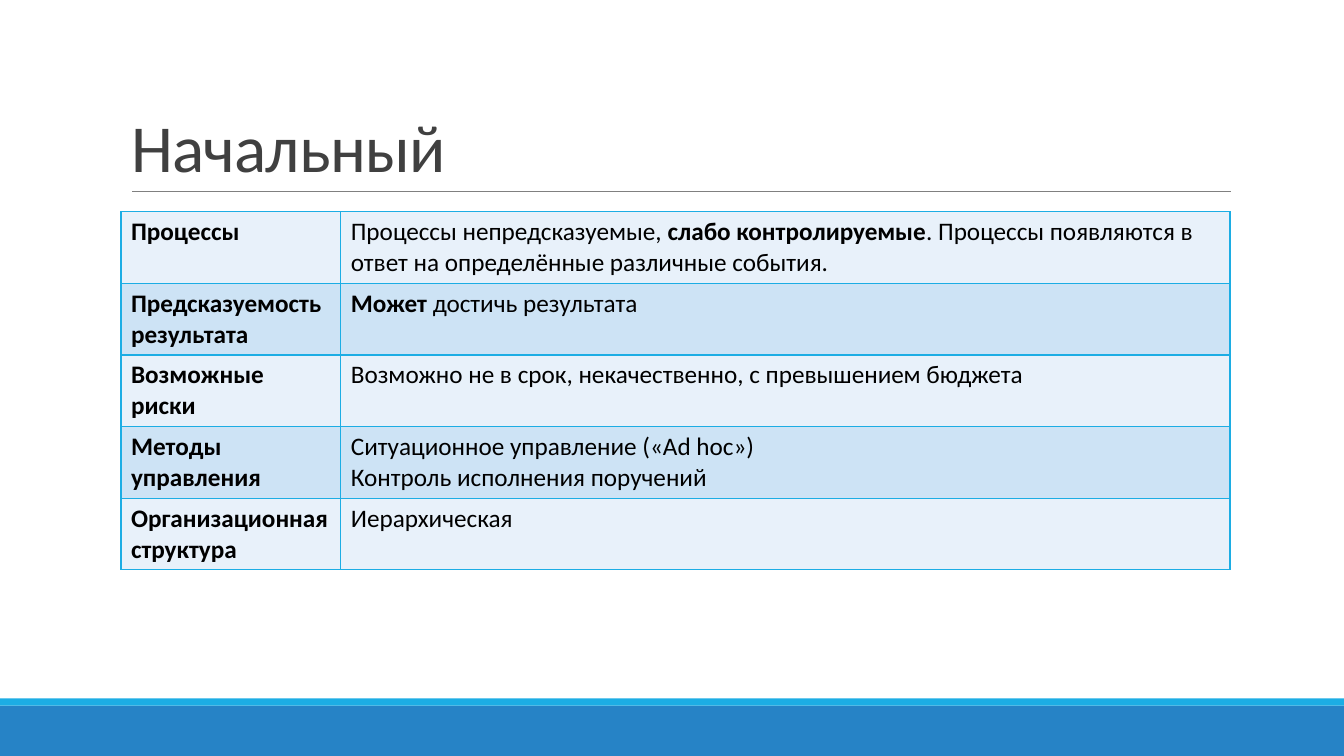
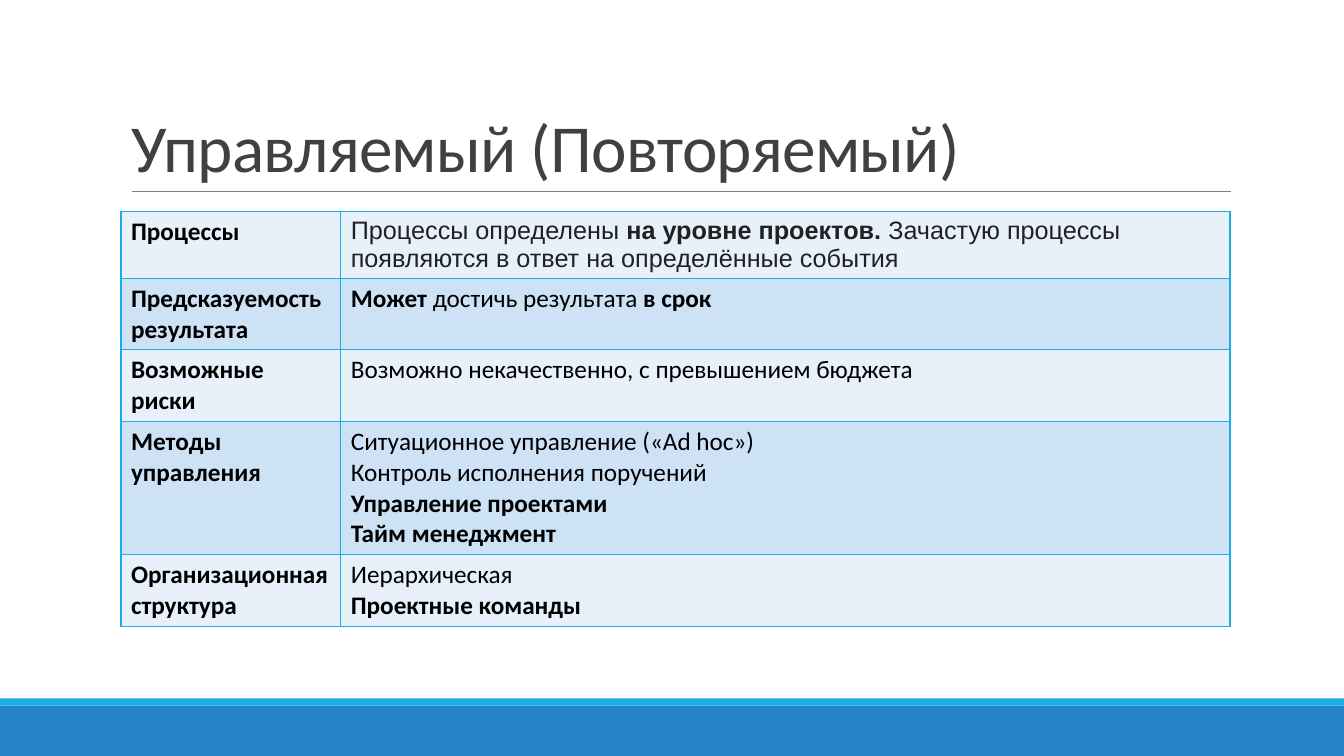
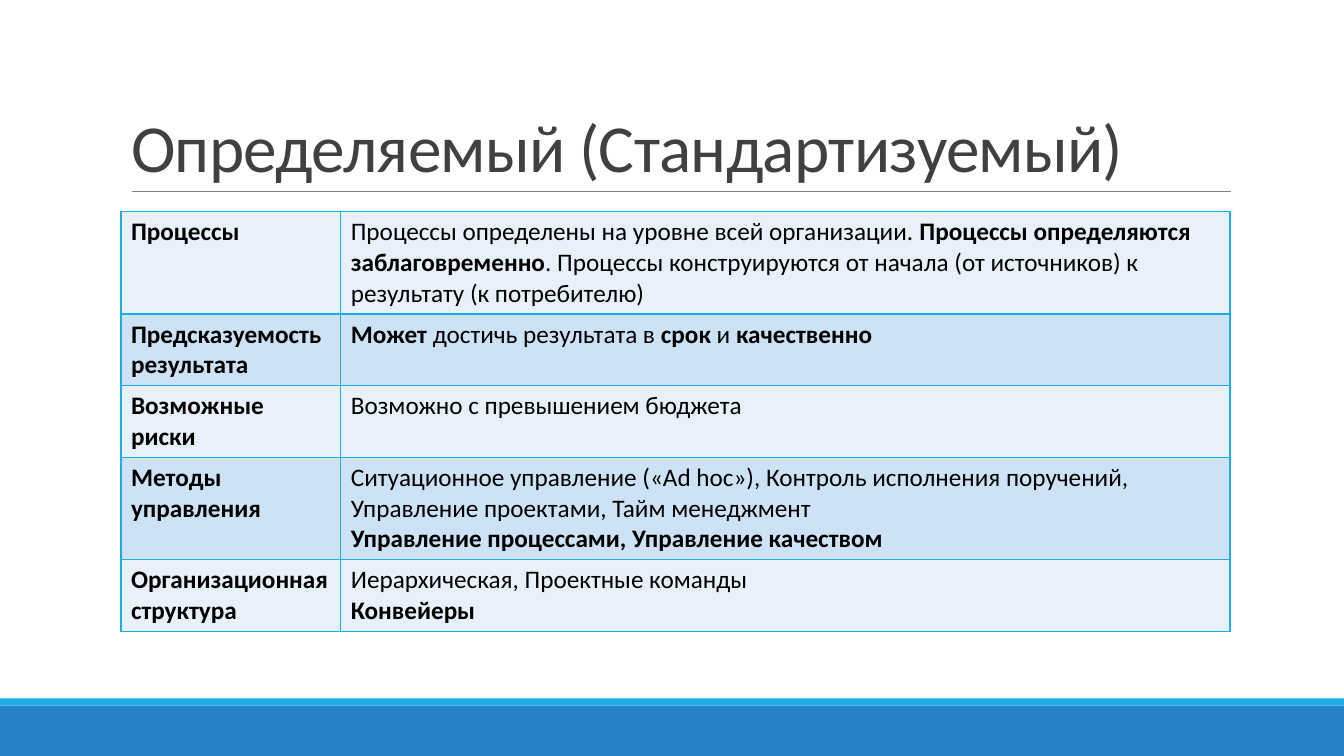
from lxml.etree import SubElement
from pptx import Presentation
from pptx.dml.color import RGBColor
from pptx.enum.shapes import MSO_CONNECTOR, MSO_SHAPE
from pptx.enum.text import MSO_ANCHOR, MSO_AUTO_SIZE, PP_ALIGN
from pptx.oxml import parse_xml
from pptx.oxml.ns import nsdecls, qn
from pptx.util import Inches, Pt

C = {
    "band": "2683C6", "accent": "1CADE4", "rule": "808080", "title": "404040",
    "text": "000000", "wiki": "202122", "light": "E8F1FA", "mid": "CDE3F5",
}
FONT = "Calibri"

ROW_NAMES = ["Процессы", "Предсказуемость результата", "Возможные риски",
             "Методы управления", "Организационная структура"]

# One level per slide: title, font and colour of the first answer, answers.
# Text between ** is bold, each line is a paragraph.
LEVELS = [
    ("Начальный", FONT, "text", [
        "Процессы непредсказуемые, **слабо контролируемые**. "
        "Процессы появляются в ответ на определённые различные события.",
        "**Может **достичь результата",
        "Возможно не в срок, некачественно, с превышением бюджета",
        "Ситуационное управление («Ad hoc»)\nКонтроль исполнения поручений",
        "Иерархическая",
    ]),
    ("Управляемый (Повторяемый)", "Arial", "wiki", [
        "Процессы определены **на уровне проектов. **"
        "Зачастую процессы появляются в ответ на определённые события",
        "**Может** достичь результата **в срок**",
        "Возможно некачественно, с превышением бюджета",
        "Ситуационное управление («Ad hoc»)\nКонтроль исполнения поручений\n"
        "**Управление проектами**\n**Тайм менеджмент**",
        "Иерархическая\n**Проектные команды**",
    ]),
    ("Определяемый (Стандартизуемый)", FONT, "text", [
        "Процессы определены на уровне всей организации. "
        "**Процессы определяются заблаговременно**. "
        "Процессы конструируются от начала (от источников) к результату (к потребителю)",
        "**Может** достичь результата в **срок** и **качественно**",
        "Возможно с превышением бюджета",
        "Ситуационное управление («Ad hoc»), Контроль исполнения поручений,\n"
        "Управление проектами, Тайм менеджмент\n"
        "**Управление процессами, Управление качеством**",
        "Иерархическая, Проектные команды\n**Конвейеры**",
    ]),
]


def rgb(name):
    return RGBColor.from_string(C[name])


def fill_cell(cell, text, fill, font=FONT, color="text"):
    tf = cell.text_frame
    for i, line in enumerate(text.split("\n")):
        p = tf.paragraphs[0] if i == 0 else tf.add_paragraph()
        for j, part in enumerate(line.split("**")):
            if part:
                r = p.add_run()
                r.text = part
                r.font.name, r.font.size, r.font.bold = font, Pt(18), j % 2 == 1
                r.font.color.rgb = rgb(color)
    # Borders come before the fill in the cell properties
    tc_pr = cell._tc.get_or_add_tcPr()
    for side in ("lnL", "lnR", "lnT", "lnB"):
        tc_pr.append(parse_xml(
            f'<a:{side} {nsdecls("a")} w="12700"><a:solidFill>'
            f'<a:srgbClr val="{C["accent"]}"/></a:solidFill></a:{side}>'))
    cell.fill.solid()
    cell.fill.fore_color.rgb = rgb(fill)


prs = Presentation()
prs.slide_width, prs.slide_height = Inches(13.33), Inches(7.5)
layout = prs.slide_layouts[5]
slides = [prs.slides.add_slide(layout) for _ in LEVELS]

# Title position on the layout
title = layout.placeholders[0]
title.left, title.top = Inches(1.2), Inches(0.31)
title.width, title.height = Inches(11), Inches(1.59)
title.text_frame.vertical_anchor = MSO_ANCHOR.BOTTOM
title.text_frame.auto_size = MSO_AUTO_SIZE.NONE

# Bottom bands and title rule, drawn once and moved to the layout
shapes = slides[0].shapes
decor = []
for top, height, color in ((7, 0.5, "band"), (6.93, 0.07, "accent")):
    sp = shapes.add_shape(MSO_SHAPE.RECTANGLE, 0, Inches(top), prs.slide_width, Inches(height))
    sp.shadow.inherit = False
    sp.fill.solid()
    sp.fill.fore_color.rgb = rgb(color)
    sp.line.fill.background()
    decor.append(sp)
rule = shapes.add_connector(MSO_CONNECTOR.STRAIGHT, Inches(1.31), Inches(1.9),
                            Inches(12.21), Inches(1.9))
rule.line.color.rgb = rgb("rule")
rule.line.width = Pt(0.5)
SubElement(rule.element.spPr, qn("a:effectLst"))
decor.append(rule)
for i, sp in enumerate(decor):
    sp.element.xpath(".//p:cNvPr")[0].set("id", str(20 + i))
    layout.shapes.element.insert(2 + i, sp.element)

# Slides
for s, (heading, first_font, first_color, answers) in zip(slides, LEVELS):
    s.shapes.title.text_frame.text = heading
    p = s.shapes.title.text_frame.paragraphs[0]
    p.alignment = PP_ALIGN.LEFT
    p.line_spacing = 0.85
    r = p.runs[0]
    r.font.name, r.font.size = FONT, Pt(48)
    r.font.color.rgb = rgb("title")
    r.font._element.set("spc", "-50")

    # Table: row name and answer, rows grow with their text
    rows = len(ROW_NAMES)
    table = s.shapes.add_table(rows, 2, Inches(1.2), Inches(2.1),
                               Inches(11), Inches(0.41 * rows)).table
    table.first_row = table.horz_banding = False
    table.columns[0].width, table.columns[1].width = Inches(2.18), Inches(8.82)
    for i, (name, answer) in enumerate(zip(ROW_NAMES, answers)):
        fill = ("light", "mid")[i % 2]
        font, color = (first_font, first_color) if i == 0 else (FONT, "text")
        fill_cell(table.cell(i, 0), f"**{name}**", fill)
        fill_cell(table.cell(i, 1), answer, fill, font, color)
    table.cell(rows - 1, 0).vertical_anchor = MSO_ANCHOR.MIDDLE

prs.save("out.pptx")
